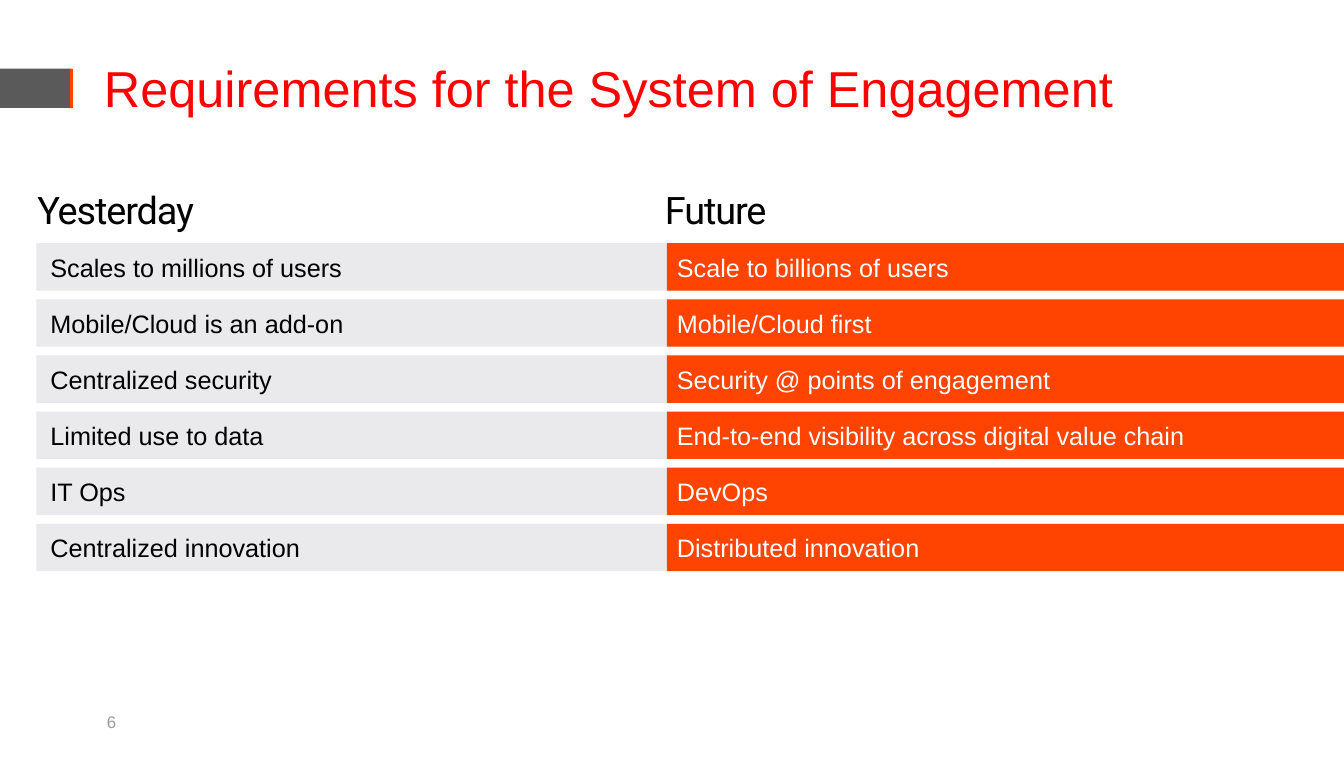
from dataclasses import dataclass

from lxml import etree
from pptx import Presentation
from pptx.dml.color import RGBColor
from pptx.enum import shapes, text
from pptx.oxml import ns
from pptx.util import Inches, Pt


@dataclass(frozen=True)
class Theme:
    red: str = "FF0000"
    orange: str = "FF4300"
    dark: str = "5A5A5A"
    pale: str = "EAE9EB"
    muted: str = "9B9B9B"
    black: str = "000000"
    white: str = "FFFFFF"
    body: str = "Arial"
    heading: str = "Roboto"
    title_size: int = 36
    heading_size: int = 27
    row_size: int = 18
    number_size: int = 12


T = Theme()
SLIDE_W, SLIDE_H = 13.32, 7.5
ROW_H = 0.47
ROWS = [
    ("Scales to millions of users", "Scale to billions of users"),
    ("Mobile/Cloud is an add-on", "Mobile/Cloud first"),
    ("Centralized security", "Security @ points of engagement"),
    ("Limited use to data", "End-to-end visibility across digital value chain"),
    ("IT Ops", "DevOps"),
    ("Centralized innovation", "Distributed innovation"),
]


def write(sp, words, size, color, font=T.body, inset=(0.1, 0.05), wrap=True):
    tf = sp.text_frame
    dx, dy = map(Inches, inset)
    frame = dict(margin_left=dx, margin_right=dx, margin_top=dy, margin_bottom=dy,
                 word_wrap=wrap, auto_size=text.MSO_AUTO_SIZE.NONE,
                 vertical_anchor=text.MSO_ANCHOR.MIDDLE)
    for name, value in frame.items():
        setattr(tf, name, value)
    p = tf.paragraphs[0]
    p.alignment = text.PP_ALIGN.LEFT
    r = p.add_run()
    r.text = words
    for name, value in dict(name=font, size=Pt(size)).items():
        setattr(r.font, name, value)
    r.font.color.rgb = RGBColor.from_string(color)
    return r


def add_bar(s, box, fill):
    sp = s.shapes.add_shape(shapes.MSO_SHAPE.RECTANGLE, *map(Inches, box))
    sp.shadow.inherit = False
    sp.fill.solid()
    sp.fill.fore_color.rgb = RGBColor.from_string(fill)
    sp.line.fill.background()
    return sp


def add_accent(s, box):
    left, top, width, height = box
    add_bar(s, box, T.dark)
    edge = left + width
    line = s.shapes.add_connector(shapes.MSO_CONNECTOR.STRAIGHT, Inches(edge), Inches(top),
                                  Inches(edge), Inches(top + height))
    line.line.color.rgb = RGBColor.from_string(T.orange)
    line.line.width = Pt(2)
    etree.SubElement(line._element.spPr, ns.qn("a:effectLst"))


def add_title(s, box, words):
    sp = s.shapes.title
    for name, value in zip(("left", "top", "width", "height"), box):
        setattr(sp, name, Inches(value))
    write(sp, words, T.title_size, T.red)


def add_number(s, box, number):
    sp = s.shapes.add_textbox(*map(Inches, box))
    write(sp, number, T.number_size, T.muted)


def add_heading(s, box, words):
    sp = s.shapes.add_textbox(*map(Inches, box))
    r = write(sp, words, T.heading_size, T.black, T.heading, (0.05, 0.05), wrap=False)
    r._r.get_or_add_rPr().set("spc", "-80")


def add_column(s, box, rows, fill, color, indent):
    left, top, width, height = box
    pitch = (height - ROW_H) / (len(rows) - 1)
    for i, words in enumerate(rows):
        sp = add_bar(s, (left, top + i * pitch, width, ROW_H), fill)
        write(sp, words, T.row_size, color, inset=(indent, 0))


def build_comparison(s):
    # Header
    add_accent(s, (0, 0.68, 0.71, 0.39))
    add_title(s, (0.93, 0.49, 11.36, 0.74), "Requirements for the System of Engagement")

    # Yesterday rows run the full width, Future rows lie over their right half
    yesterday, future = zip(*ROWS)
    for left, rows, fill, color, indent in (
            (0.36, yesterday, T.pale, T.black, 0.14),
            (6.61, future, T.orange, T.white, 0.1)):
        add_column(s, (left, 2.41, SLIDE_W - left, 3.25), rows, fill, color, indent)

    # Column headings
    add_heading(s, (0.32, 1.79, 1.73, 0.56), "Yesterday")
    add_heading(s, (6.54, 1.79, 1.13, 0.56), "Future")

    # Slide number
    add_number(s, (0.96, 6.95, 3.11, 0.4), "6")


def main():
    prs = Presentation()
    prs.slide_width, prs.slide_height = Inches(SLIDE_W), Inches(SLIDE_H)
    s = prs.slides.add_slide(prs.slide_layouts.get_by_name("Title Only"))
    build_comparison(s)
    prs.save("out.pptx")


if __name__ == "__main__":
    main()
